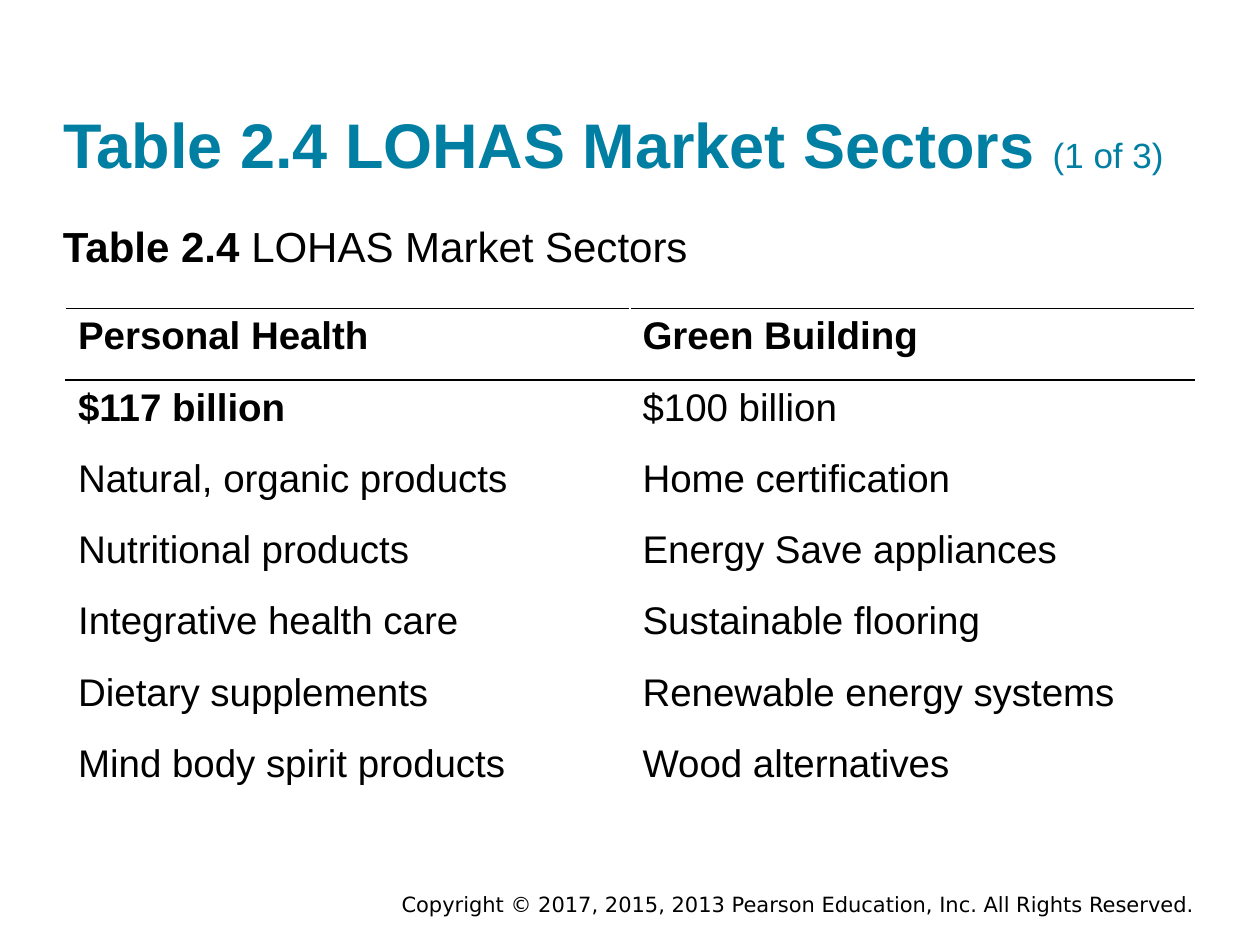
"""Build the LOHAS market sectors table slide."""
import pptx
import pptx.util
import pptx.oxml
import pptx.oxml.ns
import pptx.dml.color
import pptx.enum.text

Inches, Pt = pptx.util.Inches, pptx.util.Pt
ALIGN, ANCHOR = pptx.enum.text.PP_ALIGN, pptx.enum.text.MSO_ANCHOR

THEME = {
    "title": {"size": 36, "bold": True, "color": "007FA3", "name": "Arial"},
    "counter": {"size": 20, "bold": False, "color": "007FA3", "name": "Arial"},
    "label": {"size": 24, "bold": True, "color": "000000", "name": "Arial"},
    "caption": {"size": 24, "bold": False, "color": "000000", "name": "Arial"},
    "strong": {"size": 22, "bold": True, "color": "000000", "name": "Arial"},
    "cell": {"size": 22, "bold": False, "color": "000000", "name": "Arial"},
    "footer": {"size": 12, "bold": False, "color": "000000", "name": "DejaVu Sans"},
    "rule": "000000",
}
TITLE = [("Table 2.4 LOHAS Market Sectors ", "title"), ("(1 of 3)", "counter")]
CAPTION = [("Table 2.4 ", "label"), ("LOHAS Market Sectors", "caption")]
FOOTER = [("Copyright © 2017, 2015, 2013 Pearson Education, Inc. All Rights Reserved.", "footer")]
SECTORS = [
    ("Personal Health", "Green Building"),
    ("$117 billion", "$100 billion"),
    ("Natural, organic products", "Home certification"),
    ("Nutritional products", "Energy Save appliances"),
    ("Integrative health care", "Sustainable flooring"),
    ("Dietary supplements", "Renewable energy systems"),
    ("Mind body spirit products", "Wood alternatives"),
]
STRONG_CELLS = {(0, 0), (0, 1), (1, 0)}
RULES = {0: ("lnT", "lnB"), 1: ("lnT",)}
ROW_HEIGHT = 3.96 / len(SECTORS)


def write(frame, spans, align=ALIGN.LEFT):
    para = frame.paragraphs[0]
    para.alignment = align
    for text, style in spans:
        span = para.add_run()
        span.text = text
        values = dict(THEME[style])
        span.font.color.rgb = pptx.dml.color.RGBColor.from_string(values.pop("color"))
        values["size"] = Pt(values["size"])
        for key, value in values.items():
            setattr(span.font, key, value)


def place(box, left, top, width, height, **frame_values):
    bounds = {"left": left, "top": top, "width": width, "height": height}
    for key, value in bounds.items():
        setattr(box, key, Inches(value))
    settings = {"word_wrap": True, "auto_size": pptx.enum.text.MSO_AUTO_SIZE.NONE, **frame_values}
    for key, value in settings.items():
        setattr(box.text_frame, key, value)
    return box.text_frame


def rule_cell(cell, sides):
    properties = cell._tc.get_or_add_tcPr()
    for position, side in enumerate(sides):
        properties.insert(position, pptx.oxml.parse_xml(
            f'<a:{side} {pptx.oxml.ns.nsdecls("a")} w="{Pt(1)}"><a:solidFill>'
            f'<a:srgbClr val="{THEME["rule"]}"/></a:solidFill></a:{side}>'))


def add_sector_table(page):
    table = page.shapes.add_table(
        len(SECTORS), len(SECTORS[0]), Inches(0.52), Inches(2.45),
        Inches(8.96), Inches(ROW_HEIGHT * len(SECTORS))).table
    table.first_row = table.horz_banding = False
    for row_index, texts in enumerate(SECTORS):
        table.rows[row_index].height = Inches(ROW_HEIGHT)
        for column_index, text in enumerate(texts):
            cell = table.cell(row_index, column_index)
            cell.fill.background()
            style = "strong" if (row_index, column_index) in STRONG_CELLS else "cell"
            write(cell.text_frame, [(text, style)])
            rule_cell(cell, RULES.get(row_index, ()))


def main():
    deck = pptx.Presentation()
    deck.slide_width, deck.slide_height = Inches(10), Inches(7.5)
    page = deck.slides.add_slide(deck.slide_layouts[5])
    flush = dict.fromkeys(("margin_left", "margin_top", "margin_right", "margin_bottom"), 0)
    write(place(page.shapes.title, 0.5, 0.24, 9, 1.2,
                vertical_anchor=ANCHOR.BOTTOM, **flush), TITLE)
    caption = page.shapes.add_textbox(0, 0, 0, 0)
    write(place(caption, 0.5, 1.75, 9, 0.42, **flush), CAPTION)
    add_sector_table(page)
    footer = page.shapes.add_textbox(0, 0, 0, 0)
    write(place(footer, 1.75, 7.03, 7.83, 0.3), FOOTER, ALIGN.RIGHT)
    deck.save("out.pptx")


if __name__ == "__main__":
    main()
